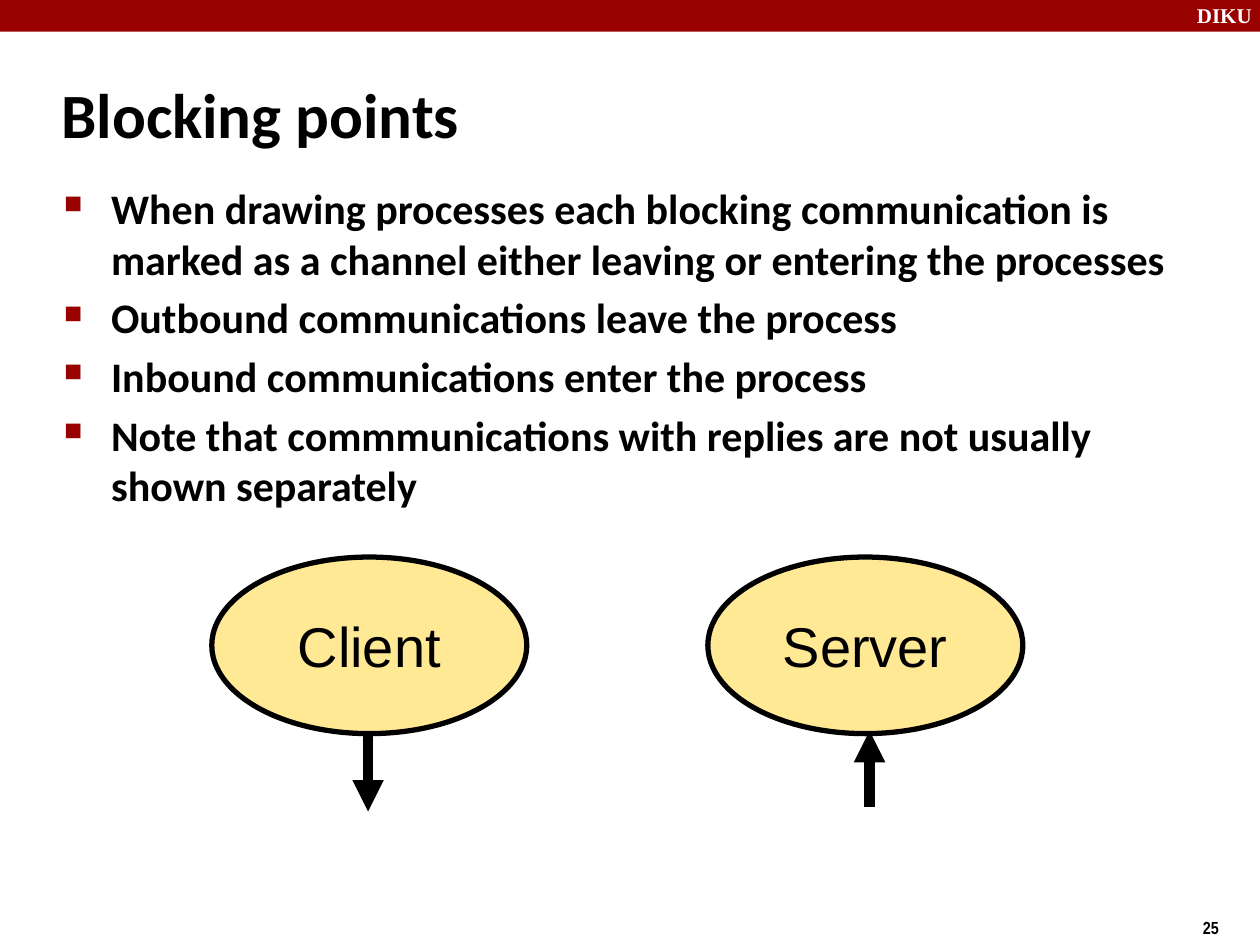
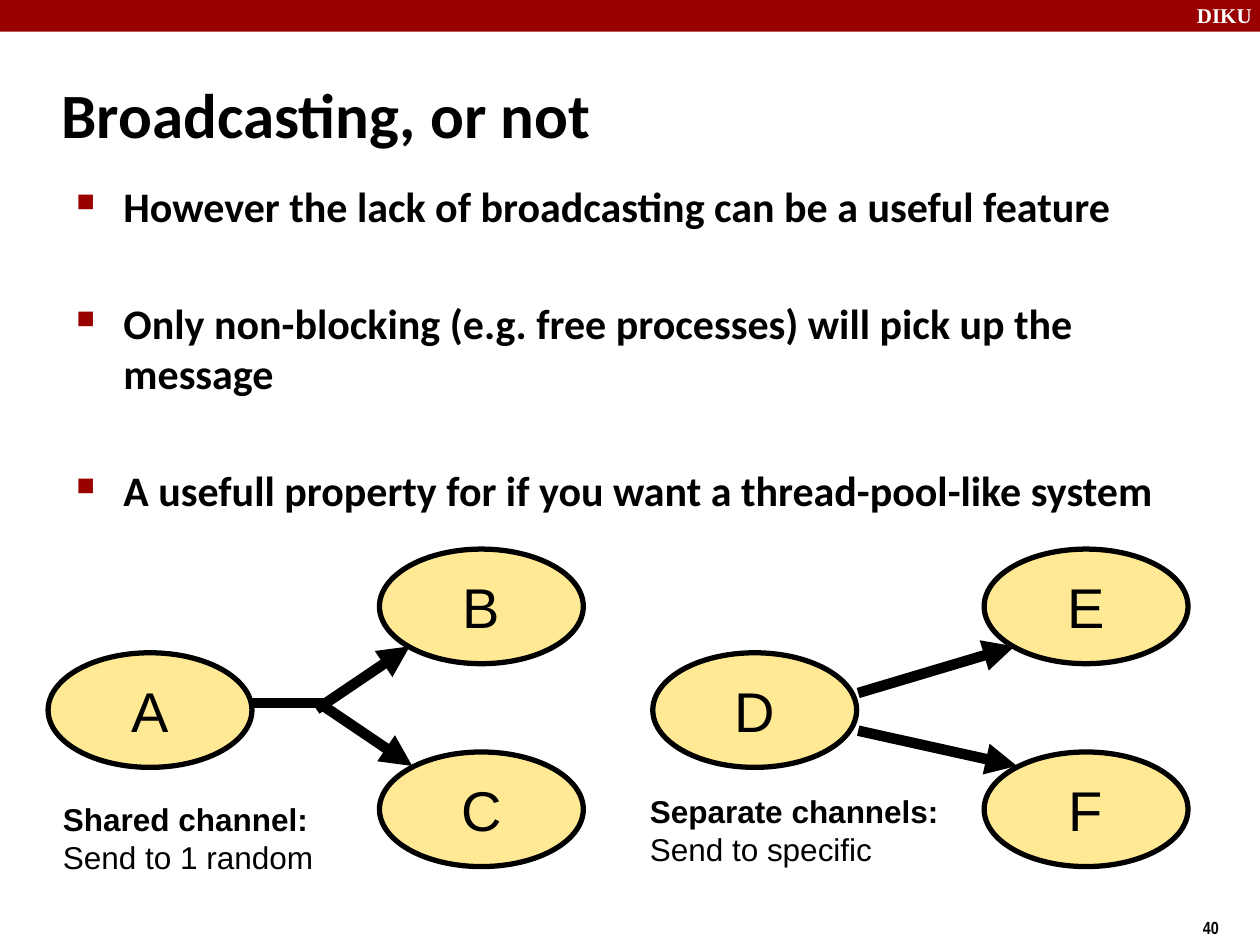
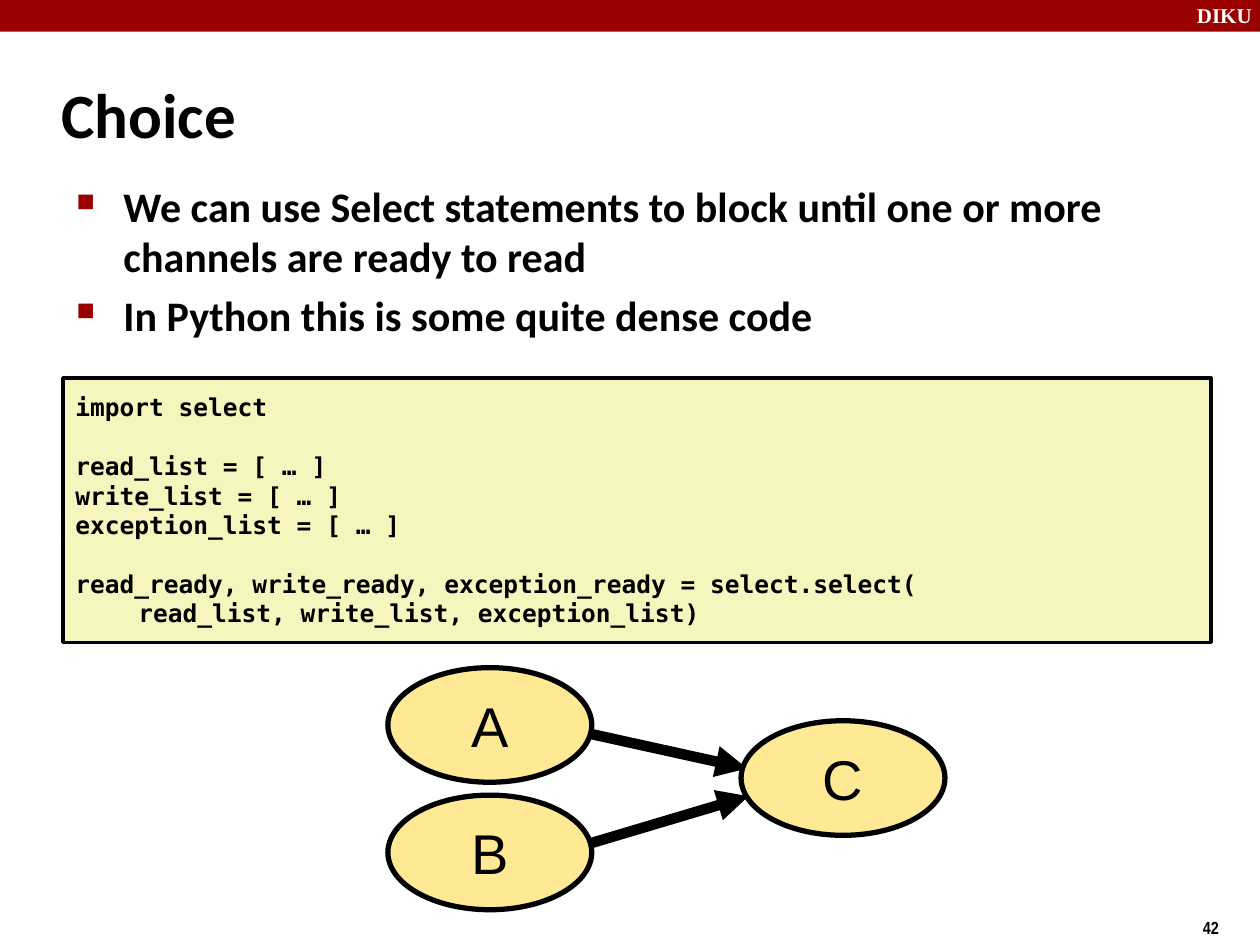
from lxml import etree
from pptx import Presentation
from pptx.dml.color import RGBColor
from pptx.enum.shapes import MSO_CONNECTOR, MSO_SHAPE
from pptx.enum.text import MSO_ANCHOR, PP_ALIGN
from pptx.oxml.ns import qn
from pptx.util import Cm, Pt

RECTANGLE, ELLIPSE = MSO_SHAPE.RECTANGLE, MSO_SHAPE.OVAL
STRAIGHT = MSO_CONNECTOR.STRAIGHT
TOP, MIDDLE = MSO_ANCHOR.TOP, MSO_ANCHOR.MIDDLE
LEFT, CENTER = PP_ALIGN.LEFT, PP_ALIGN.CENTER

COLORS = {
    "band": "990000",
    "process": "FFE994",
    "code": "F6F5BD",
    "ink": "000000",
    "paper": "FFFFFF",
}

# Process sizes and the grid of the two broadcasting diagrams
LARGE, SMALL = (6.35, 3.56), (4.11, 2.31)
GROUP_LEFT, GROUP_PITCH, RECEIVER_OFFSET = 0.97, 12.19, 6.68
broadcast_processes = []
for group, names in enumerate(["ABC", "DEF"]):
    left = GROUP_LEFT + group * GROUP_PITCH
    broadcast_processes += [
        (names[0], left, 13.16),
        (names[1], left + RECEIVER_OFFSET, 11.07),
        (names[2], left + RECEIVER_OFFSET, 15.16),
    ]

# Arrows are x1, y1, x2, y2, has head; captions are left, top, width, heading, text
SLIDES = [
    {
        "number": "25",
        "title": "Blocking points",
        "body": (1.02, 3.56),
        "gap": 4.8,
        "bullets": [
            "When drawing processes each blocking communication is marked as a channel "
            "either leaving or entering the processes",
            "Outbound communications leave the process",
            "Inbound communications enter the process",
            "Note that commmunications with replies are not usually shown separately",
        ],
        "size": LARGE,
        "processes": [("Client", 4.27, 11.23), ("Server", 14.27, 11.23)],
        "arrows": [
            (7.42, 14.83, 7.42, 16.36, True),
            (17.53, 16.26, 17.53, 14.73, True),
        ],
        "captions": [],
        "code": [],
    },
    {
        "number": "40",
        "title": "Broadcasting, or not",
        "body": (1.27, 3.51),
        "gap": 38,
        "bullets": [
            "However the lack of broadcasting can be a useful feature",
            "Only non-blocking (e.g. free processes) will pick up the message",
            "A usefull property for if you want a thread-pool-like system",
        ],
        "size": SMALL,
        "processes": broadcast_processes,
        "arrows": [
            (6.43, 14.17, 8.31, 15.44, True),
            (6.38, 14.3, 8.26, 13.03, True),
            (6.53, 14.17, 5.08, 14.17, False),
            (17.3, 14.73, 20.5, 15.44, True),
            (17.3, 13.97, 20.45, 13.03, True),
        ],
        "captions": [
            (1.02, 16, 5.84, "Shared channel:", "Send to 1 random"),
            (12.85, 15.85, 6.86, "Separate channels:", "Send to specific"),
        ],
        "code": [],
    },
    {
        "number": "42",
        "title": "Choice",
        "body": (1.27, 3.51),
        "gap": 4.8,
        "bullets": [
            "We can use Select statements to block until one or more channels are ready to read",
            "In Python this is some quite dense code",
        ],
        "size": SMALL,
        "processes": [("A", 7.82, 13.46), ("B", 7.82, 16.03), ("C", 14.94, 14.53)],
        "arrows": [
            (11.84, 14.78, 15.06, 15.49, True),
            (11.94, 16.99, 15.09, 16.05, True),
        ],
        "captions": [],
        # Each line with the space before it in points
        "code": [
            ("import select", 0),
            ("read_list = [ … ]", 16.8),
            ("write_list = [ … ]", 0),
            ("exception_list = [ … ]", 0),
            ("read_ready, write_ready, exception_ready = select.select(", 16.8),
            ("\tread_list, write_list, exception_list)", 0),
        ],
    },
]


def add_box(slide, box, kind=None, fill=None, line_width=0, anchor=TOP):
    """Add a text box, or a preset shape when a kind is given."""
    lengths = [Cm(value) for value in box]
    if kind is None:
        shape = slide.shapes.add_textbox(*lengths)
    else:
        shape = slide.shapes.add_shape(kind, *lengths)
        shape.shadow.inherit = False
        shape.fill.solid()
        shape.fill.fore_color.rgb = RGBColor.from_string(COLORS[fill])
        if line_width:
            shape.line.width = Pt(line_width)
            shape.line.color.rgb = RGBColor.from_string(COLORS["ink"])
        else:
            shape.line.fill.background()
    shape.text_frame.word_wrap = True
    shape.text_frame.vertical_anchor = anchor
    return shape


def add_line(shape, text, font, size, bold=True, color="ink", align=LEFT):
    """Add one paragraph with a single run, using the first one if it is empty."""
    frame = shape.text_frame
    paragraph = frame.paragraphs[0]
    if paragraph.runs:
        paragraph = frame.add_paragraph()
    paragraph.alignment = align
    run = paragraph.add_run()
    run.text = text
    run.font.name = font
    run.font.size = Pt(size)
    run.font.bold = bold
    run.font.color.rgb = RGBColor.from_string(COLORS[color])
    return paragraph


presentation = Presentation()
presentation.slide_width = Cm(25.4)
presentation.slide_height = Cm(19.05)

for content in SLIDES:
    slide = presentation.slides.add_slide(presentation.slide_layouts[6])

    # Band, page number and title
    add_box(slide, (0, 0, 25.4, 0.64), RECTANGLE, "band")
    label = add_box(slide, (23.88, -0.08, 1.7, 0.76))
    add_line(label, "DIKU", "Times New Roman", 12, color="paper")
    number = add_box(slide, (24, 18.36, 1.3, 0.69))
    add_line(number, content["number"], "Arial Narrow", 10)
    title = add_box(slide, (0.99, 1.22, 21.08, 2.11), anchor=MIDDLE)
    add_line(title, content["title"], "Calibri", 36)

    # Bullets
    body = add_box(slide, (*content["body"], 22.78, 7.16))
    for index, text in enumerate(content["bullets"]):
        paragraph = add_line(body, text, "Calibri", 24)
        properties = paragraph._p.get_or_add_pPr()
        properties.set("marL", str(Cm(0.97)))
        properties.set("indent", str(Cm(-0.95)))
        bullet_color = etree.SubElement(properties, qn("a:buClr"))
        etree.SubElement(bullet_color, qn("a:srgbClr"), val=COLORS["band"])
        etree.SubElement(properties, qn("a:buSzPct"), val="60000")
        etree.SubElement(properties, qn("a:buChar"), char="■")
        if index:
            paragraph.space_before = Pt(content["gap"])

    # Code
    if content["code"]:
        code = add_box(slide, (1.27, 7.62, 23.14, 5.33), RECTANGLE, "code", 2, MIDDLE)
        for text, gap in content["code"]:
            paragraph = add_line(code, text, "DejaVu Sans Mono", 14)
            if gap:
                paragraph.space_before = Pt(gap)

    # Channels
    for x1, y1, x2, y2, has_head in content["arrows"]:
        channel = slide.shapes.add_connector(STRAIGHT, Cm(x1), Cm(y1), Cm(x2), Cm(y2))
        channel.line.width = Pt(6)
        channel.line.color.rgb = RGBColor.from_string(COLORS["ink"])
        if has_head:
            etree.SubElement(channel.line._get_or_add_ln(), qn("a:tailEnd"), type="triangle")
        etree.SubElement(channel._element.spPr, qn("a:effectLst"))

    # Processes
    for name, left, top in content["processes"]:
        process = add_box(slide, (left, top, *content["size"]), ELLIPSE, "process", 3, MIDDLE)
        process.text_frame.word_wrap = False
        add_line(process, name, "Arial", 32, bold=False, align=CENTER)

    # Captions
    for left, top, width, heading, text in content["captions"]:
        caption = add_box(slide, (left, top, width, 1.68))
        add_line(caption, heading, "Arial", 18)
        add_line(caption, text, "Arial", 18, bold=False)

presentation.save("out.pptx")
